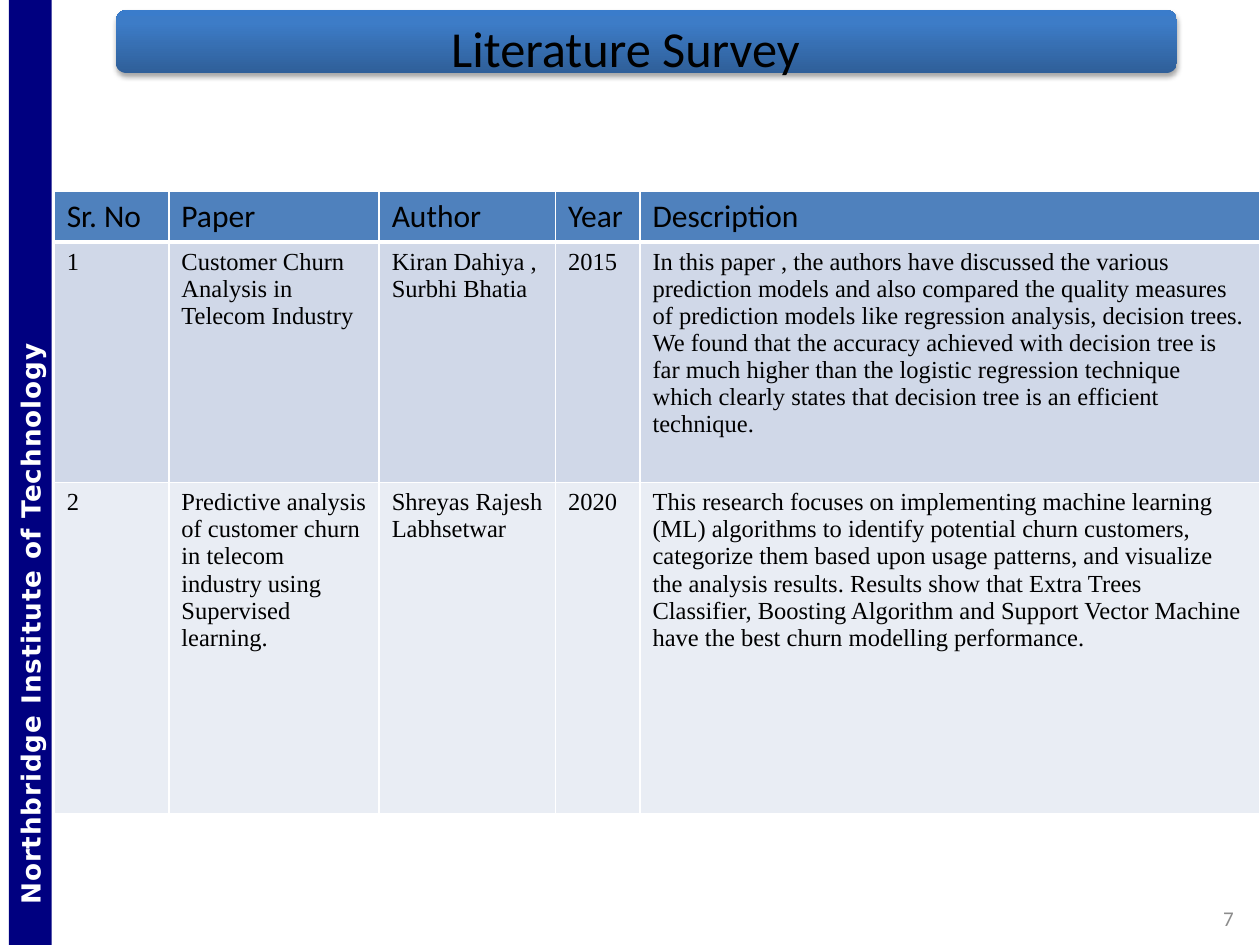
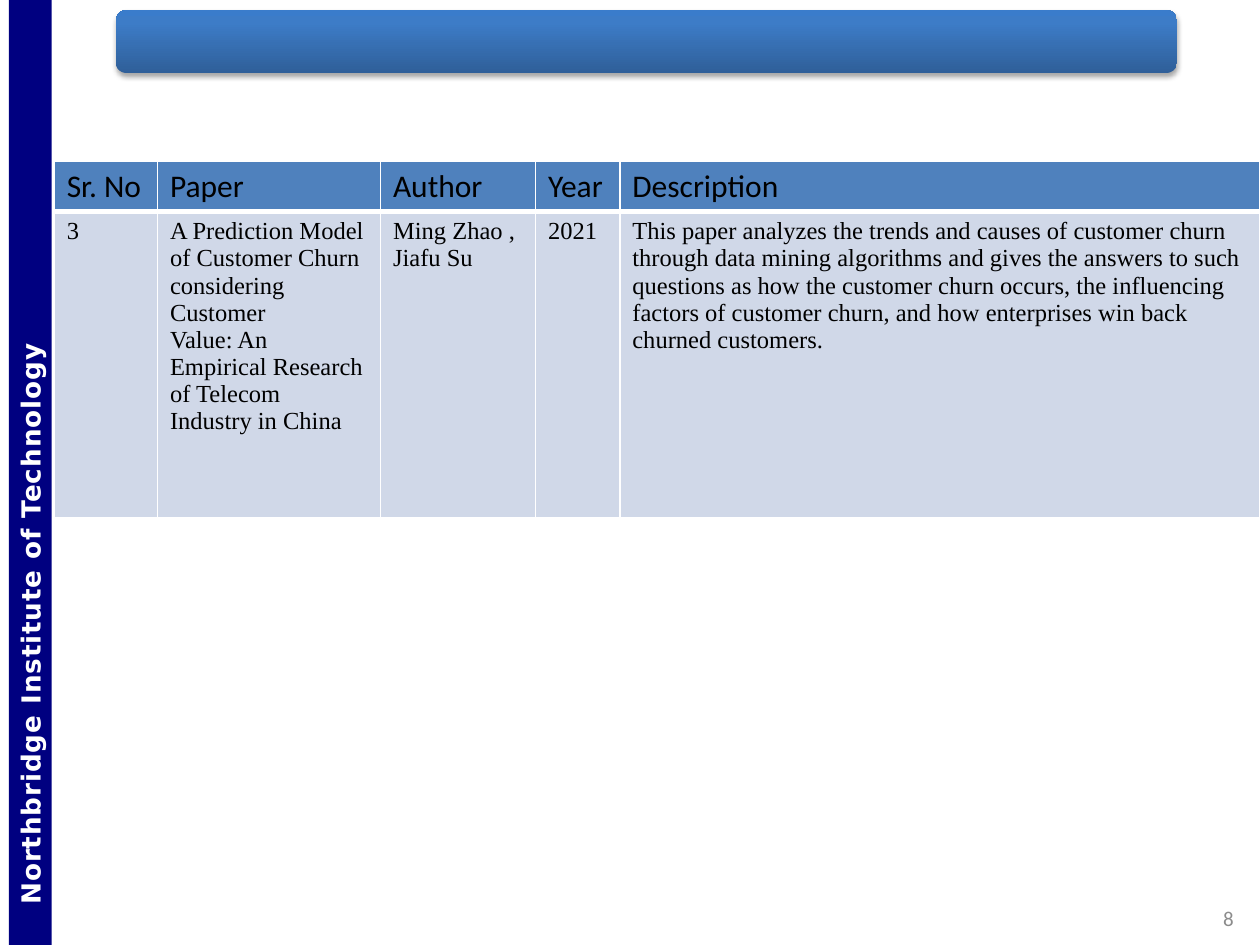
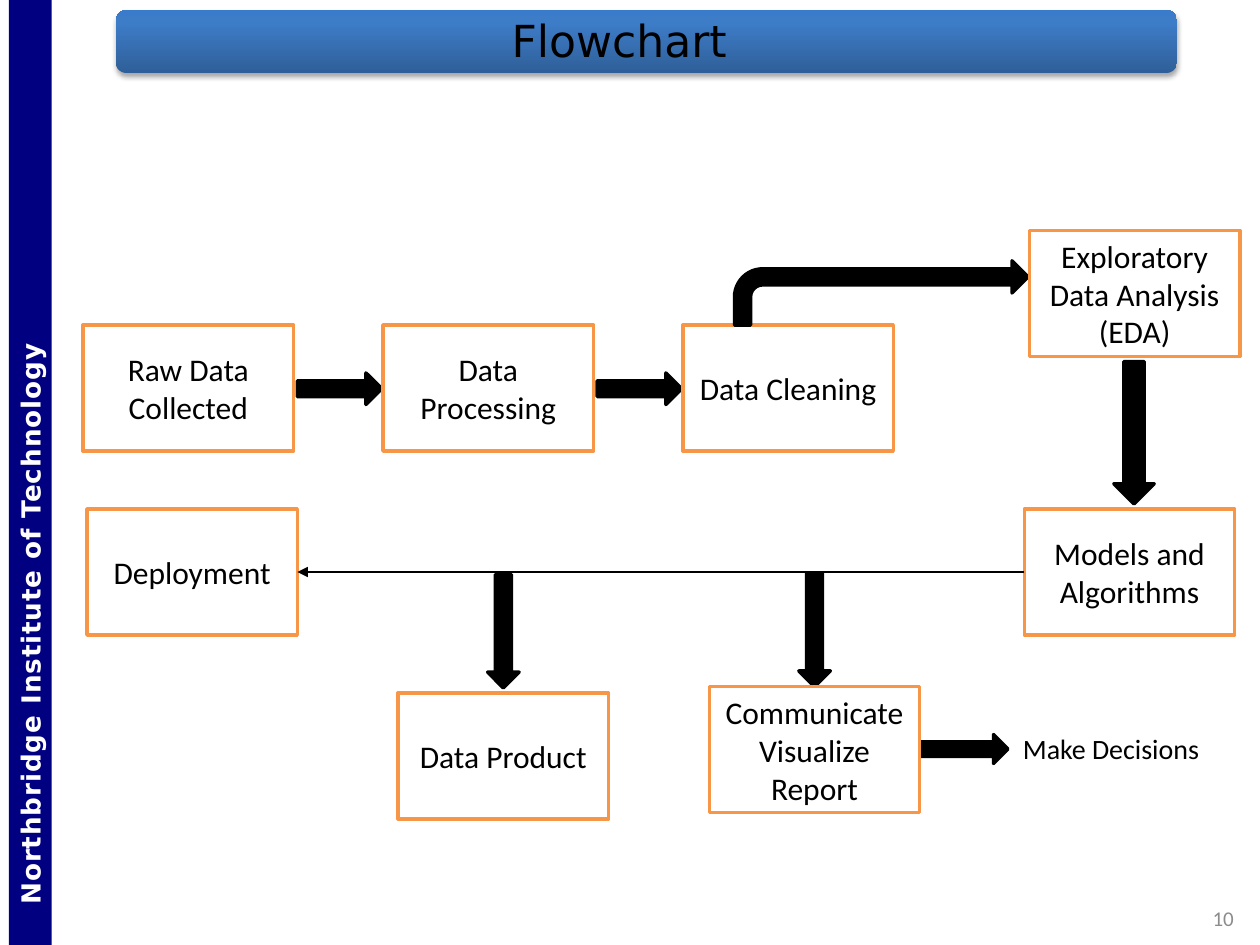
from copy import deepcopy

from lxml.etree import SubElement
from pptx import Presentation
from pptx.dml.color import RGBColor
from pptx.enum.shapes import MSO_CONNECTOR, MSO_SHAPE
from pptx.enum.text import MSO_ANCHOR, PP_ALIGN
from pptx.oxml.ns import qn
from pptx.util import Inches, Pt

SLIDE_WIDTH, SLIDE_HEIGHT = Inches(10), Inches(7.5)
GRID_COLUMNS = 10  # grid cells are square, so the slide has 7.5 rows
COLORS = {
    "black": "000000", "white": "FFFFFF", "navy": "000080", "number": "8C8C8C",
    "bar_bottom": "2F5F99", "bar_middle": "3D7CC7", "bar_top": "3A7CCB",
    "header": "4F81BD", "odd_row": "D0D8E8", "even_row": "E9EDF4",
    "box_border": "F79646",
}
BODY_FONT, TABLE_FONT, BAND_FONT = "Calibri", "Times New Roman", "DejaVu Sans"
INSTITUTE = "Northbridge Institute of Technology"

TABLE_HEADINGS = ["Sr. No", "Paper", "Author", "Year", "Description"]
EARLIER_PAPERS = [
    ["1", "Customer Churn Analysis in Telecom Industry",
     "Kiran Dahiya , Surbhi Bhatia", "2015",
     "In this paper , the authors have discussed the various prediction models "
     "and also compared the quality measures of prediction models like regression "
     "analysis, decision trees. We found that the accuracy achieved with decision "
     "tree is far much higher than the logistic regression technique which clearly "
     "states that decision tree is an efficient technique."],
    ["2", "Predictive analysis of customer churn in telecom industry using "
     "Supervised learning.",
     "Shreyas Rajesh Labhsetwar", "2020",
     "This research focuses on implementing machine learning (ML) algorithms to "
     "identify potential churn customers, categorize them based upon usage patterns, "
     "and visualize the analysis results. Results show that Extra Trees Classifier, "
     "Boosting Algorithm and Support Vector Machine have the best churn modelling "
     "performance."],
]
LATER_PAPERS = [
    ["3", "A Prediction Model of Customer Churn considering Customer\n"
     "Value: An Empirical Research of Telecom Industry in China",
     "Ming Zhao , Jiafu Su", "2021",
     "This paper analyzes the trends and causes of customer churn through data "
     "mining algorithms and gives the answers to such questions as how the customer "
     "churn occurs, the influencing factors of customer churn, and how enterprises "
     "win back churned customers."],
]

BOX_WIDTH, BOX_HEIGHT = 1.67, 1
STEP_LEFT, STEP_TOP, STEP_PITCH = 0.66, 2.58, 2.38
STEPS = ["Raw Data Collected", "Data Processing", "Data Cleaning"]
LATER_STAGES = [
    ("Exploratory Data Analysis\n(EDA)", 8.17, 1.83),
    ("Communicate Visualize Report", 5.63, 5.45),
    ("Data Product", 3.16, 5.5),
]
STAGE_ARROWS = [
    (MSO_SHAPE.BENT_ARROW, 5.83, 2.07, 2.33, 0.51),
    (MSO_SHAPE.DOWN_ARROW, 8.84, 2.87, 0.32, 1.13),
    (MSO_SHAPE.DOWN_ARROW, 6.34, 4.55, 0.25, 0.9),
    (MSO_SHAPE.DOWN_ARROW, 3.87, 4.56, 0.25, 0.9),
    (MSO_SHAPE.RIGHT_ARROW, 7.29, 5.83, 0.71, 0.23),
]


def color(name):
    return RGBColor.from_string(COLORS[name])


def grid(*cells):
    """Turn counts of grid cells into lengths."""
    return [round(SLIDE_WIDTH / GRID_COLUMNS * count) for count in cells]


def write(frame, text, size, font=BODY_FONT, ink="black",
          align=PP_ALIGN.LEFT, anchor=MSO_ANCHOR.MIDDLE, bold=False):
    frame.text = text
    frame.word_wrap = True
    frame.vertical_anchor = anchor
    for paragraph in frame.paragraphs:
        paragraph.alignment = align
        for run in paragraph.runs:
            run.font.size, run.font.name, run.font.bold = Pt(size), font, bold
            run.font.color.rgb = color(ink)


def add_block(slide, preset, area, fill, border=None):
    block = slide.shapes.add_shape(preset, *grid(*area))
    block.shadow.inherit = False
    block.fill.solid()
    block.fill.fore_color.rgb = color(fill)
    if border:
        block.line.color.rgb = color(border)
        block.line.width = Pt(2)
    else:
        block.line.fill.background()
    return block


def add_label(slide, area, text, size, **style):
    label = slide.shapes.add_textbox(*grid(*area))
    write(label.text_frame, text, size, **style)


def add_title_bar(slide):
    bar = add_block(slide, MSO_SHAPE.ROUNDED_RECTANGLE, (0.92, 0.08, 8.42, 0.5), "bar_top")
    bar.fill.gradient()
    bar.fill.gradient_angle = 90
    properties = bar._element.spPr
    stop_list = properties.find(".//" + qn("a:gsLst"))
    stop_list.insert(1, deepcopy(stop_list[0]))
    shades = [(0, "bar_bottom"), (0.8, "bar_middle"), (1, "bar_top")]
    for stop, (position, shade) in zip(bar.fill.gradient_stops, shades):
        stop.position = position
        stop.color.rgb = color(shade)
    shadow = SubElement(properties.find(qn("a:effectLst")), qn("a:outerShdw"),
                        blurRad=str(Pt(3.1)), dist=str(Pt(1.8)), dir="5400000", rotWithShape="0")
    shade = SubElement(shadow, qn("a:srgbClr"), val=COLORS["black"])
    SubElement(shade, qn("a:alpha"), val="35000")


def add_institute_band(slide):
    band = add_block(slide, MSO_SHAPE.RECTANGLE, (-3.51, 3.58, 7.5, 0.34), "navy")
    band.rotation = 270
    frame = band.text_frame
    write(frame, INSTITUTE, 15, font=BAND_FONT, ink="white", bold=True)
    frame.margin_left = Inches(0.32)
    frame.margin_top = frame.margin_bottom = 0
    frame.paragraphs[0].runs[0].font._element.set("spc", "50")


def add_framed_slide(deck, number):
    """Add a slide with the title bar, the institute band and its number."""
    slide = deck.slides.add_slide(deck.slide_layouts[6])
    add_title_bar(slide)
    add_institute_band(slide)
    add_label(slide, (7.6, 7.15, 2.29, 0.28), str(number), 12,
              ink="number", align=PP_ALIGN.RIGHT)
    return slide


def add_cell_borders(cell, top, bottom):
    properties = cell._tc.get_or_add_tcPr()
    for side, points in (("L", 1), ("R", 1), ("T", top), ("B", bottom)):
        edge = SubElement(properties, qn(f"a:ln{side}"), w=str(Pt(points)))
        fill = SubElement(edge, qn("a:solidFill"))
        SubElement(fill, qn("a:srgbClr"), val=COLORS["white"])


def add_survey_table(slide, top, column_widths, row_heights, papers):
    rows = [TABLE_HEADINGS, *papers]
    area = grid(0.43, top, sum(column_widths), sum(row_heights))
    survey = slide.shapes.add_table(len(rows), len(TABLE_HEADINGS), *area).table
    for column, width in zip(survey.columns, grid(*column_widths)):
        column.width = width
    for row, height in zip(survey.rows, grid(*row_heights)):
        row.height = height
    for row_index, values in enumerate(rows):
        is_header = row_index == 0
        fill = "header" if is_header else ("even_row", "odd_row")[row_index % 2]
        size, font = (18, BODY_FONT) if is_header else (14, TABLE_FONT)
        for column_index, value in enumerate(values):
            cell = survey.cell(row_index, column_index)
            add_cell_borders(cell, top=3 if row_index == 1 else 1,
                             bottom=3 if is_header else 1)
            cell.fill.solid()
            cell.fill.fore_color.rgb = color(fill)
            write(cell.text_frame, value, size, font=font, anchor=MSO_ANCHOR.TOP)


def add_stage(slide, text, left, top):
    stage = add_block(slide, MSO_SHAPE.RECTANGLE, (left, top, BOX_WIDTH, BOX_HEIGHT),
                      "white", "box_border")
    write(stage.text_frame, text, 18, align=PP_ALIGN.CENTER)
    return stage


def add_block_arrow(slide, preset, *area):
    add_block(slide, preset, area, "black", "black")


def add_link(slide, source, target):
    """Draw a thin arrow from the left side of source to the right side of target."""
    link = slide.shapes.add_connector(MSO_CONNECTOR.STRAIGHT, 0, 0, 0, 0)
    link.begin_connect(source, 1)
    link.end_connect(target, 3)
    link.line.color.rgb = color("black")
    link.line.width = Pt(0.75)
    SubElement(link.line._get_or_add_ln(), qn("a:tailEnd"), type="triangle")
    SubElement(link._element.spPr, qn("a:effectLst"))


def add_flowchart(slide):
    for index, step in enumerate(STEPS):
        left = STEP_LEFT + index * STEP_PITCH
        add_stage(slide, step, left, STEP_TOP)
        if index < len(STEPS) - 1:
            add_block_arrow(slide, MSO_SHAPE.RIGHT_ARROW,
                            left + BOX_WIDTH + 0.03, STEP_TOP + 0.38, 0.67, 0.25)
    models = add_stage(slide, "Models and Algorithms", 8.13, 4.04)
    deployment = add_stage(slide, "Deployment", 0.69, 4.04)
    add_link(slide, models, deployment)
    for arrow in STAGE_ARROWS:
        add_block_arrow(slide, *arrow)
    for stage in LATER_STAGES:
        add_stage(slide, *stage)
    add_label(slide, (8.02, 5.76, 1.65, 0.37), "Make Decisions", 16, anchor=MSO_ANCHOR.TOP)


def main():
    deck = Presentation()
    deck.slide_width, deck.slide_height = SLIDE_WIDTH, SLIDE_HEIGHT

    survey = add_framed_slide(deck, 7)
    add_label(survey, (1.8, 0.17, 6.33, 0.41), "Literature Survey", 28.8,
              align=PP_ALIGN.CENTER)
    add_survey_table(survey, 1.52, [0.91, 1.67, 1.4, 0.67, 4.92],
                     [0.4, 1.91, 2.63], EARLIER_PAPERS)

    survey_continued = add_framed_slide(deck, 8)
    add_survey_table(survey_continued, 1.28, [0.82, 1.77, 1.23, 0.67, 5.08],
                     [0.4, 2.43], LATER_PAPERS)

    flowchart = add_framed_slide(deck, 10)
    add_label(flowchart, (2, 0.06, 5.83, 0.51), "Flowchart", 25.2,
              font=BAND_FONT, align=PP_ALIGN.CENTER)
    add_flowchart(flowchart)

    deck.save("out.pptx")


if __name__ == "__main__":
    main()
